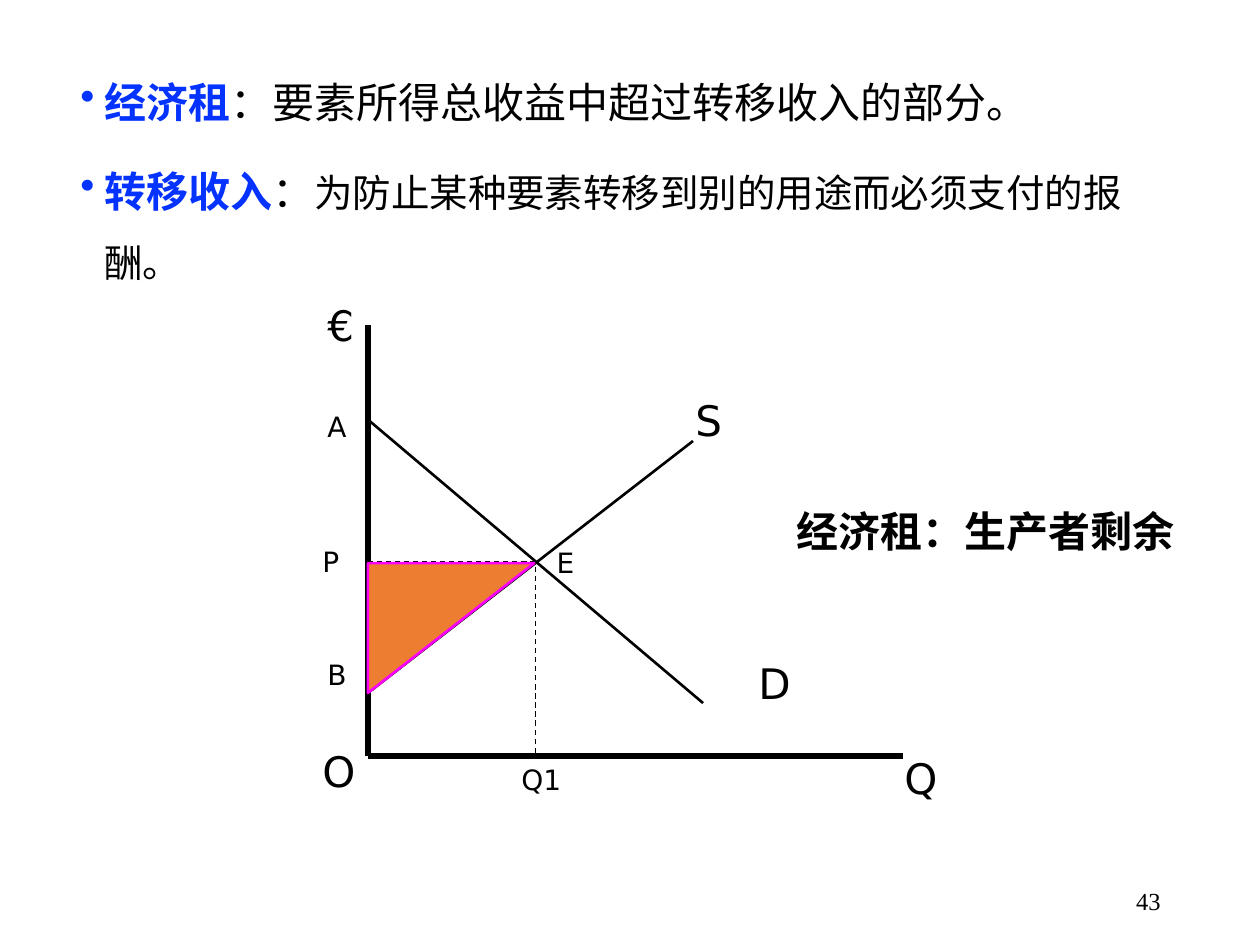
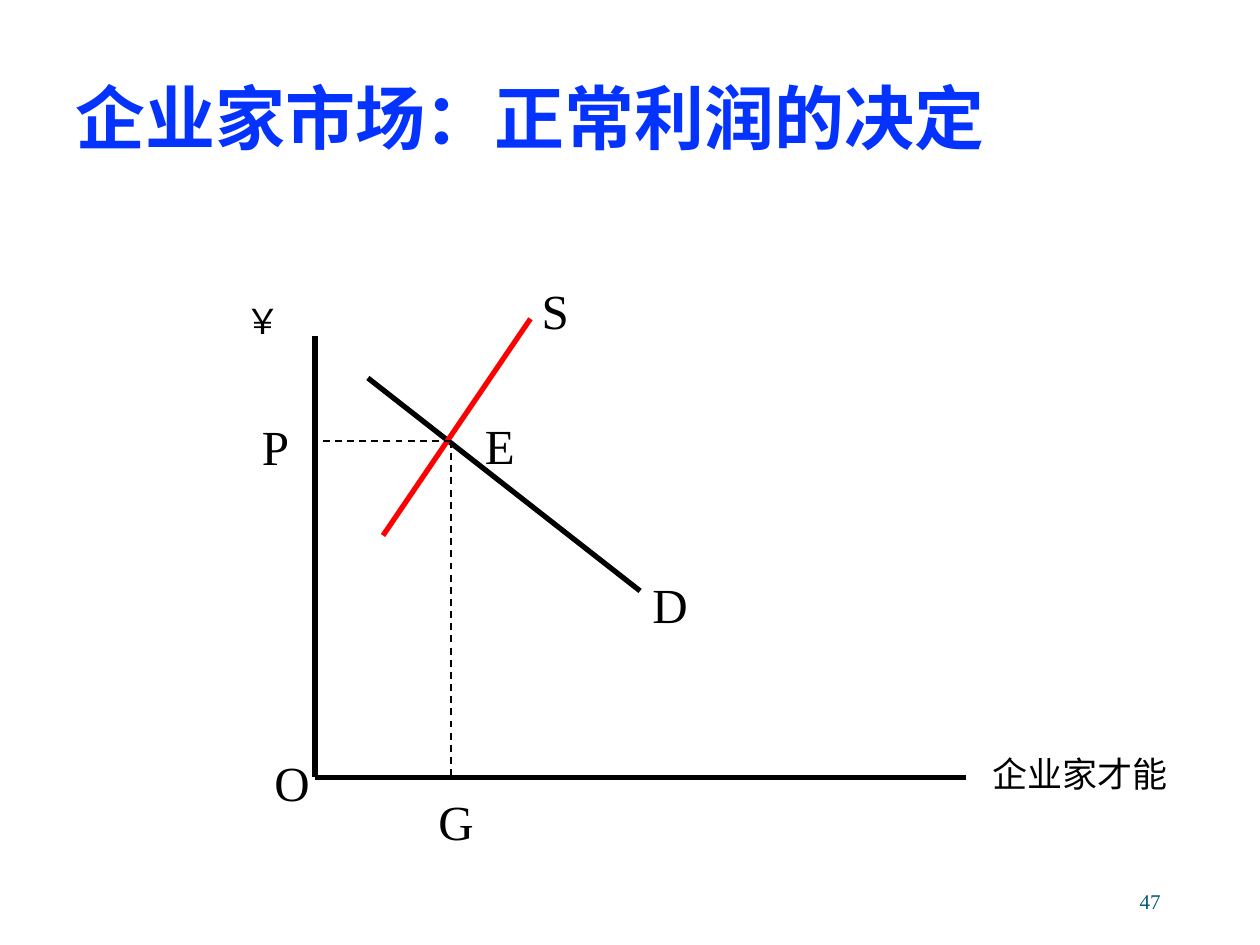
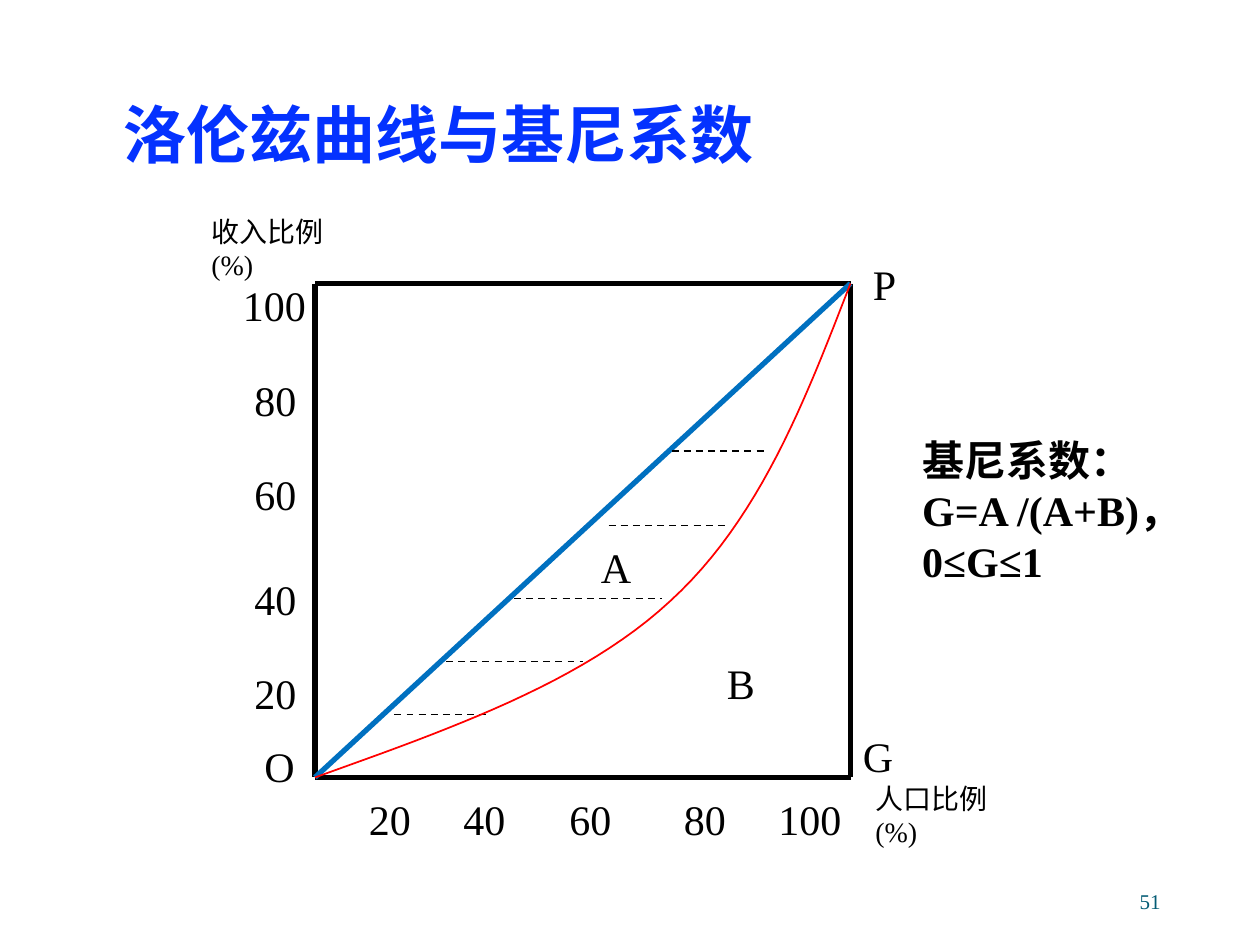
from pptx import Presentation, util as u
from pptx.dml.color import RGBColor
from pptx.enum import dml, shapes, text
from pptx.oxml import ns, xmlchemy as xc

SANS, CJK, SERIF = "DejaVu Sans", "Noto Sans CJK SC", "Times New Roman"
BLACK, BLUE, TEAL = "000000", "0432FF", "045C75"
RED, SKY, PINK, ORANGE = "FF0000", "0070C0", "FF00FF", "ED7D31"


def rgb(code):
    return RGBColor.from_string(code)


def add(node, tag, **attrs):
    child = xc.OxmlElement(tag)
    for key, val in attrs.items():
        child.set(key, val)
    node.append(child)
    return child


def bend(a, b, c, d, steps=24):
    """Points along a cubic Bezier curve, without its start."""
    for i in range(1, steps + 1):
        t = i / steps
        s = 1 - t
        yield tuple(s**3 * p + 3 * s * s * t * q + 3 * s * t * t * r + t**3 * e
                    for p, q, r, e in zip(a, b, c, d))


class Deck:
    def __init__(self):
        self.prs = Presentation()
        self.prs.slide_width = u.Inches(10)
        self.prs.slide_height = u.Inches(7.5)
        self.font = SERIF

    def page(self, num, font=SERIF, size=12, color=TEAL):
        """Start a slide with its number; font is used for its labels."""
        self.slide = self.prs.slides.add_slide(self.prs.slide_layouts[6])
        self.font = font
        frame = self.box(7.06, 6.95, 2.25, 0.4, text.MSO_ANCHOR.MIDDLE)
        frame.text = num
        frame.paragraphs[0].alignment = text.PP_ALIGN.RIGHT
        self.style(frame.paragraphs[0].runs[0], size, SERIF, color)

    def box(self, x, y, w, h, anchor=text.MSO_ANCHOR.TOP):
        area = map(u.Inches, (x, y, w, h))
        frame = self.slide.shapes.add_textbox(*area).text_frame
        frame.word_wrap = True
        frame.vertical_anchor = anchor
        return frame

    def style(self, run, size, font, color=BLACK, bold=False):
        run.font.size = u.Pt(size)
        run.font.name = font
        run.font.bold = bold
        run.font.color.rgb = rgb(color)
        add(run.font._element, "a:ea", typeface=CJK)

    def title(self, words, x, y, w, h, size):
        frame = self.box(x, y, w, h, text.MSO_ANCHOR.MIDDLE)
        frame.text = words
        frame.paragraphs[0].line_spacing = 0.9
        self.style(frame.paragraphs[0].runs[0], size, CJK, BLUE, True)

    def label(self, words, x, y, w=0.58, size=24, bold=False, rows=1):
        frame = self.box(x, y, w, rows * size * 1.2 / 72 + 0.1)
        frame.auto_size = text.MSO_AUTO_SIZE.SHAPE_TO_FIT_TEXT
        frame.text = words
        self.style(frame.paragraphs[0].runs[0], size, self.font, BLACK, bold)

    def terms(self, items, x, y, w, h):
        """Bulleted terms; each item is a term, then its meaning and size."""
        frame = self.box(x, y, w, h)
        for i, (term, note, size) in enumerate(items):
            para = frame.add_paragraph() if i else frame.paragraphs[0]
            para.line_spacing = 1.5
            para.space_before = u.Pt(7.5)
            props = para._p.get_or_add_pPr()
            props.set("marL", str(u.Inches(0.19)))
            props.set("indent", str(u.Inches(-0.19)))
            props.set("hangingPunct", "0")
            add(add(props, "a:buClr"), "a:srgbClr", val=BLUE)
            add(props, "a:buChar", char="•")
            parts = (term, 24, BLUE, True), ("：", 24, BLACK, False), (note, size, BLACK, False)
            for words, pts, color, bold in parts:
                run = para.add_run()
                run.text = words
                self.style(run, pts, CJK, color, bold)

    def line(self, x1, y1, x2, y2, width=3, color=BLACK, dash=False):
        ends = map(u.Inches, (x1, y1, x2, y2))
        link = self.slide.shapes.add_connector(shapes.MSO_CONNECTOR.STRAIGHT, *ends)
        self.edge(link, width, color)
        if dash:
            link.line.dash_style = dml.MSO_LINE.DASH
        add(link._element.find(ns.qn("p:spPr")), "a:effectLst")

    def edge(self, shape, width, color):
        shape.line.width = u.Pt(width)
        shape.line.color.rgb = rgb(color)

    def wedge(self, x, y, w, h):
        """Right triangle with its square corner at the top left."""
        area = map(u.Inches, (x, y, w, h))
        shape = self.slide.shapes.add_shape(shapes.MSO_SHAPE.RIGHT_TRIANGLE, *area)
        shape._element.spPr.xfrm.set("flipV", "1")
        shape.shadow.inherit = False
        shape.fill.solid()
        shape.fill.fore_color.rgb = rgb(ORANGE)
        self.edge(shape, 1.5, PINK)

    def curve(self, points, width, color):
        """Open curve through Bezier points: a start, then threes."""
        start = points[0]
        dots = []
        for i in range(0, len(points) - 1, 3):
            dots += bend(*points[i:i + 4])
        build = self.slide.shapes.build_freeform(*map(u.Inches, start))
        build.add_line_segments([tuple(map(u.Inches, d)) for d in dots], close=False)
        shape = build.convert_to_shape()
        shape.shadow.inherit = False
        shape.fill.background()
        self.edge(shape, width, color)


def rent(deck):
    deck.page("43", SANS, 14, BLACK)
    deck.terms([
        ("经济租", "要素所得总收益中超过转移收入的部分。", 24),
        ("转移收入", "为防止某种要素转移到别的用途而必须支付的报酬。", 22),
    ], 0.54, 0.36, 9, 6.59)
    left, base = 2.92, 6
    deck.line(left, 2.58, left, base)
    deck.line(left, base, 7.17, base)
    deck.line(left, 3.33, 5.58, 5.58, 1.5)
    deck.line(left, 5.5, 5.5, 3.5, 1.5)
    deck.line(left, 4.46, 4.25, 4.46, 0.75, dash=True)
    deck.line(4.25, 4.5, 4.25, base, 0.75, dash=True)
    for name, x, y in (("O", 2.46, 5.87), ("Q", 7.08, 5.92), ("D", 5.92, 5.17),
                       ("S", 5.42, 3.08), ("€", 2.5, 2.33)):
        deck.label(name, x, y)
    for name, x, y in (("E", 4.32, 4.28), ("P", 2.46, 4.27), ("Q1", 4.04, 6),
                       ("A", 2.5, 3.2), ("B", 2.5, 5.17)):
        deck.label(name, x, y, size=16)
    deck.label("经济租：生产者剩余", 6.22, 3.96, 3.28, bold=True)
    deck.wedge(left, 4.47, 1.32, 1.03)


def profit(deck):
    deck.page("47")
    deck.title("企业家市场：正常利润的决定", 0.5, 0.58, 9, 0.77, 40)
    left, base = 2.5, 6.17
    deck.line(left, 2.67, left, base)
    deck.line(left, base, 7.67, base)
    deck.line(2.92, 3, 5.08, 4.69)
    deck.line(3.04, 4.25, 4.21, 2.53, color=RED)
    deck.line(3.58, 3.5, 3.58, base, 1, dash=True)
    deck.line(3.58, 3.5, left, 3.5, 1, dash=True)
    for name, x, y in (("O", 2.08, 5.92), ("D", 5.08, 4.51), ("S", 4.2, 2.18),
                       ("E", 3.75, 3.25), ("G", 3.38, 6.23), ("P", 1.98, 3.26)):
        deck.label(name, x, y, 0.75, 28)
    deck.label("企业家才能", 7.78, 5.92, 1.67, 20)
    deck.label("￥", 1.85, 2.33, 0.61, 20)


def lorenz(deck):
    deck.page("51")
    deck.title("洛伦兹曲线与基尼系数", 0.88, 0.76, 8.5, 0.67, 36)
    left, top, right, base = 2.5, 2.25, 6.75, 6.17
    for x in (left, right):
        deck.line(x, top, x, base)
    for y in (base, top):
        deck.line(left, y, right, y)
    deck.line(left, base, right, top, color=SKY)
    deck.label("人口比例(%)", 6.85, 6.15, 1.14, 16, rows=2)
    deck.label("收入比例(%)", 1.58, 1.65, 1.25, 16, rows=2)
    cols = 2.83, 3.58, 4.42, 5.33, 6.08
    rows = 5.25, 4.5, 3.67, 2.92, 2.17
    for i, (x, y) in enumerate(zip(cols, rows), 1):
        full = i == len(cols)
        wide = 0.75 if full else 0.58
        deck.label(str(20 * i), x, 6.25, wide)
        deck.label(str(20 * i), 1.83 if full else 1.92, y, wide)
    for x1, x2, y in ((5.33, 6.08, 3.58), (4.83, 5.75, 4.17), (4.08, 5.25, 4.75),
                      (3.54, 4.63, 5.25), (3.13, 3.88, 5.67)):
        deck.line(x1, y, x2, y, 1, dash=True)
    for name, x, y in (("O", 2, 5.83), ("P", 6.83, 2), ("G", 6.75, 5.75),
                       ("A", 4.67, 4.25), ("B", 5.67, 5.17)):
        deck.label(name, x, y)
    deck.label("基尼系数：G=A /(A+B)，0≤G≤1", 7.22, 3.4, 2.45, bold=True, rows=3)
    deck.curve([(left, base), (3.56, 5.79), (4.62, 5.42), (5.32, 4.77),
                (6.03, 4.12), (6.39, 3.18), (right, top)], 1, RED)


def main():
    deck = Deck()
    rent(deck)
    profit(deck)
    lorenz(deck)
    deck.prs.save("out.pptx")


if __name__ == "__main__":
    main()
